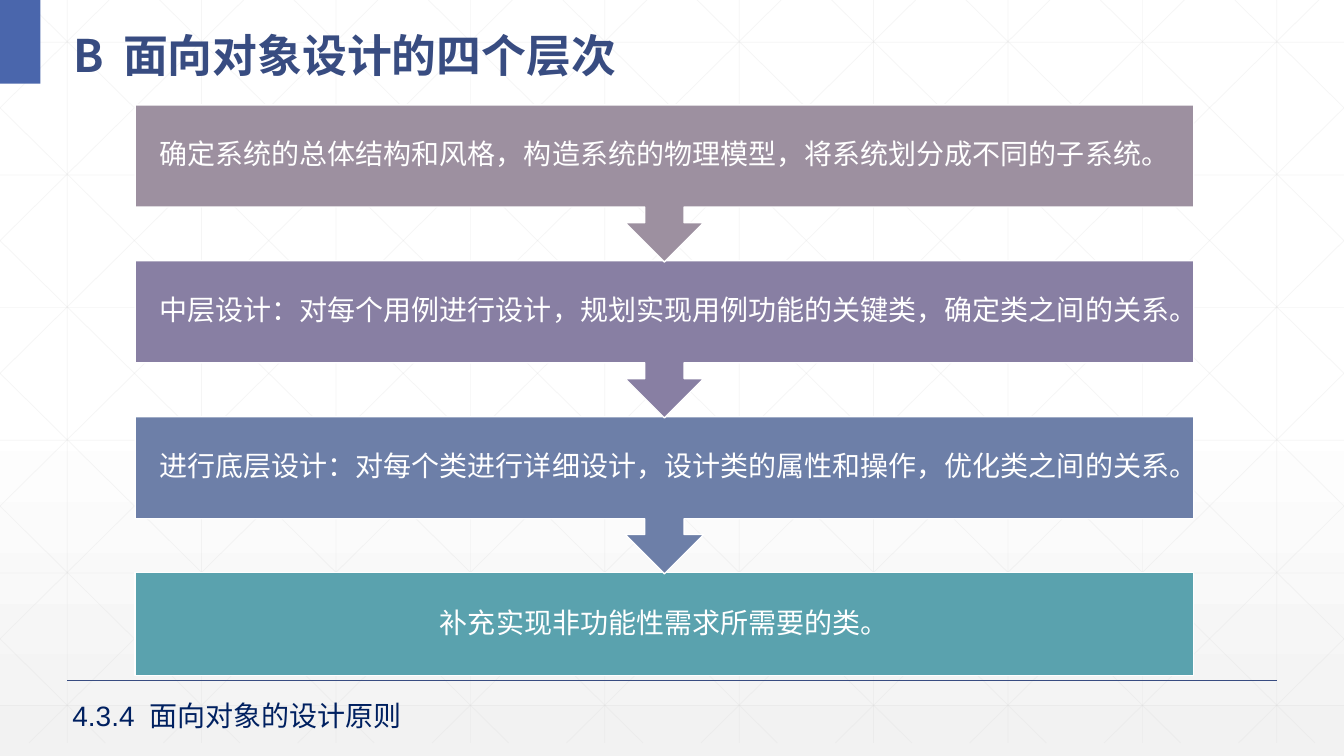
from lxml.etree import SubElement
from pptx import Presentation
from pptx.dml.color import RGBColor
from pptx.enum.shapes import MSO_CONNECTOR, MSO_SHAPE
from pptx.enum.text import MSO_ANCHOR, MSO_AUTO_SIZE, PP_ALIGN
from pptx.oxml.ns import qn
from pptx.util import Inches, Pt

W, H = 13.33, 7.5
COLORS = {
    "white": "FFFFFF", "shade": "F2F2F2", "grid": "D9D9D9",
    "rule": "384C81", "tab": "4A66AC", "title": "384C81", "footer": "002060",
    "system": "9D90A0", "middle": "887FA3", "bottom": "6D7FA8", "extra": "5AA2AE",
}
LEVELS = [
    ("system", "确定系统的总体结构和风格，构造系统的物理模型，将系统划分成不同的子系统。"),
    ("middle", "中层设计：对每个用例进行设计，规划实现用例功能的关键类，确定类之间的关系。"),
    ("bottom", "进行底层设计：对每个类进行详细设计，设计类的属性和操作，优化类之间的关系。"),
    ("extra", "补充实现非功能性需求所需要的类。"),
]


def rgb(name):
    return RGBColor.from_string(COLORS[name])


def set_font(p, size, color, name="Arial", bold=False):
    font = p.font
    font.size, font.name, font.bold = Pt(size), name, bold
    font.color.rgb = rgb(color)


def add_tab(p, pos):
    tabs = SubElement(p._p.get_or_add_pPr(), qn("a:tabLst"))
    SubElement(tabs, qn("a:tab"), pos=str(Inches(pos)), algn="l")


def add_line(s, x1, y1, x2, y2, color, width, alpha=None):
    line = s.shapes.add_connector(
        MSO_CONNECTOR.STRAIGHT, *(Inches(v) for v in (x1, y1, x2, y2)))
    line.line.color.rgb = rgb(color)
    line.line.width = Pt(width)
    if alpha:
        clr = line.line._ln.find(".//" + qn("a:srgbClr"))
        SubElement(clr, qn("a:alpha"), val=str(alpha * 1000))
    SubElement(line._element.spPr, qn("a:effectLst"))


def add_block(s, kind, box, color):
    sp = s.shapes.add_shape(kind, *(Inches(v) for v in box))
    sp.shadow.inherit = False
    sp.fill.solid()
    sp.fill.fore_color.rgb = rgb(color)
    sp.line.fill.background()
    return sp


def set_background(s):
    fill = s.background.fill
    fill.gradient()
    fill.gradient_angle = 270
    for stop, color, pos in zip(fill.gradient_stops, ("white", "shade"), (0.53, 1)):
        stop.color.rgb = rgb(color)
        stop.position = pos


def add_pattern(s, width, height):
    """Fine squares crossed by two mirrored sets of diagonals."""
    step, run = width / 10, 7.46
    slope = height / run
    lines = [(step * (i + 0.5), 0, step * (i + 0.5), height) for i in range(10)]
    lines += [(0, 0.42 + 1.316 * i, width, 0.42 + 1.316 * i) for i in range(6)]
    for i in range(-5, 10):
        x = 0.25 + step * i
        x1, x2 = max(x, 0), min(x + run, width)
        y1, y2 = (x1 - x) * slope, (x2 - x) * slope
        lines += [(x1, y1, x2, y2), (width - x1, y1, width - x2, y2)]
    for ends in lines:
        add_line(s, *ends, "grid", 0.5, alpha=25)


def add_title(s, left, top, width, height):
    add_block(s, MSO_SHAPE.RECTANGLE, (0, 0, 0.4, top + height), "tab")
    title = s.shapes.title
    s.shapes._spTree.append(title._element)
    title.left, title.top = Inches(left), Inches(top)
    title.width, title.height = Inches(width), Inches(height)
    tf = title.text_frame
    tf.text = "B\t面向对象设计的四个层次"
    tf.auto_size = MSO_AUTO_SIZE.NONE
    tf.vertical_anchor = MSO_ANCHOR.MIDDLE
    p = tf.paragraphs[0]
    add_tab(p, 0.49)
    p.alignment, p.line_spacing = PP_ALIGN.LEFT, 1.3
    set_font(p, 32, "title", "Noto Sans CJK SC", True)


def add_levels(s, left, top, width, height):
    """Stack of callouts, each pointing at the next; the last is a plain box."""
    last = len(LEVELS) - 1
    box_h = 1.02
    pitch = (height - box_h) / last
    for i, (color, text) in reversed(list(enumerate(LEVELS))):
        kind, h = MSO_SHAPE.DOWN_ARROW_CALLOUT, 1.56
        if i == last:
            kind, h = MSO_SHAPE.RECTANGLE, box_h
        sp = add_block(s, kind, (left, top + i * pitch, width, h), color)
        sp.line.color.rgb = rgb("white")
        sp.line.width = Pt(1)
        tf = sp.text_frame
        tf.text = text
        tf.word_wrap = True
        tf.vertical_anchor = MSO_ANCHOR.MIDDLE
        tf.margin_left = tf.margin_right = Inches(0.16)
        tf.margin_top = tf.margin_bottom = Inches(0.16)
        p = tf.paragraphs[0]
        p.alignment, p.line_spacing = PP_ALIGN.CENTER, 0.9
        set_font(p, 20, "white")


def add_footer(s, left, top, width, height):
    add_line(s, W / 20, 0.9 * H, W * 0.95, 0.9 * H, "rule", 1)
    tf = s.shapes.add_textbox(*(Inches(v) for v in (left, top, width, height))).text_frame
    tf.word_wrap = True
    tf.text = "4.3.4\t面向对象的设计原则"
    p = tf.paragraphs[0]
    add_tab(p, 0.76)
    set_font(p, 20, "footer")


def main():
    prs = Presentation()
    prs.slide_width, prs.slide_height = Inches(W), Inches(H)
    s = prs.slides.add_slide(prs.slide_layouts[5])
    set_background(s)
    add_pattern(s, W, 7.37)
    add_title(s, 0.63, 0.1, 12.42, 0.73)
    add_levels(s, 1.34, 1.04, 10.5, 5.66)
    add_footer(s, 0.62, 6.88, 6.04, 0.44)
    prs.save("out.pptx")


if __name__ == "__main__":
    main()
